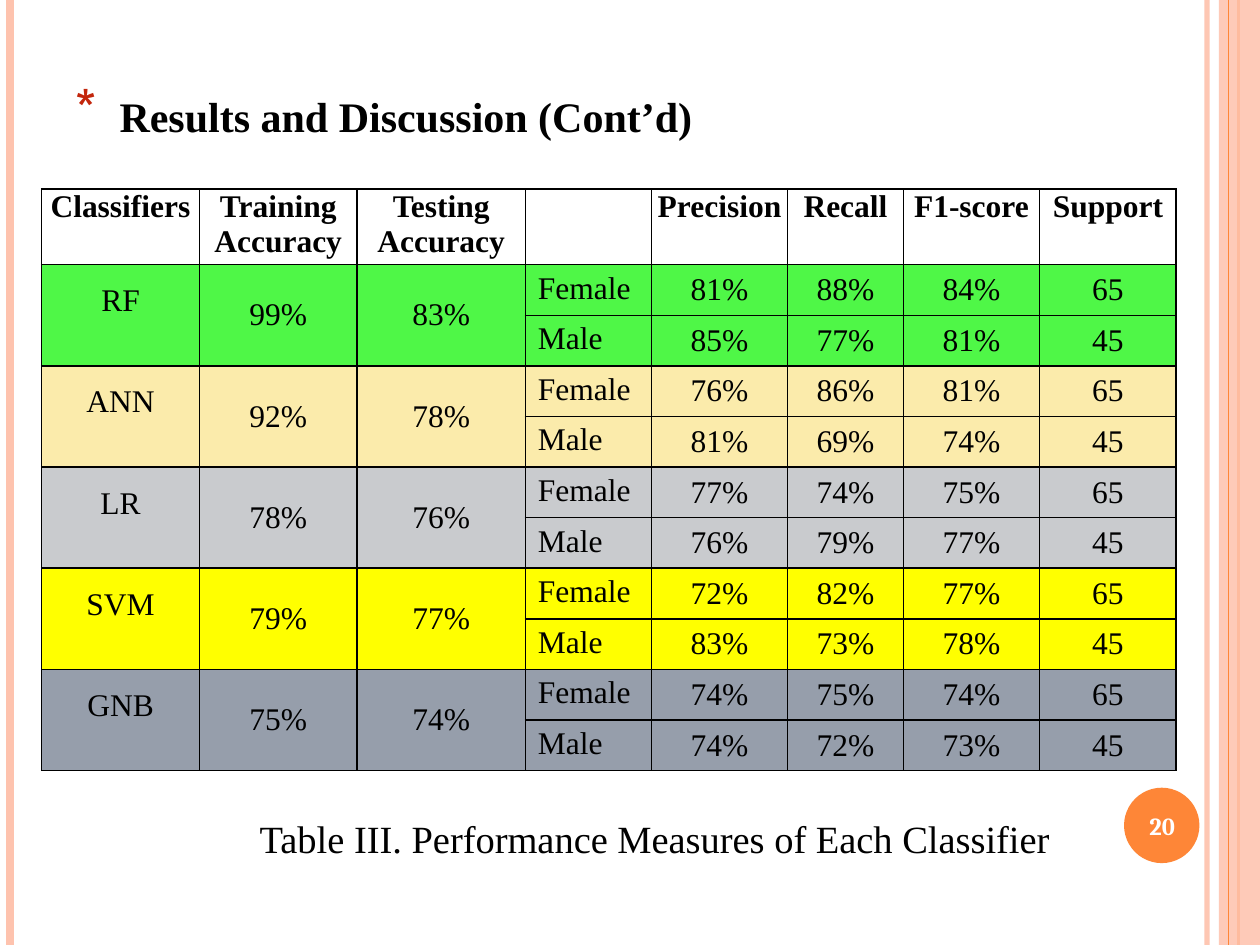
from dataclasses import dataclass

from lxml import etree
from pptx import Presentation
from pptx.dml.color import RGBColor
from pptx.enum.shapes import MSO_CONNECTOR, MSO_SHAPE
from pptx.enum.text import MSO_ANCHOR, PP_ALIGN
from pptx.oxml.ns import qn
from pptx.util import Cm, Pt


@dataclass(frozen=True)
class Theme:
    font: str = "Times New Roman"
    number_font: str = "Cambria"
    ink: str = "000000"
    paper: str = "FFFFFF"
    accent: str = "FE8637"
    pale: str = "FEC3AE"
    bullet: str = "C3260C"
    title_size: int = 24
    caption_size: int = 22
    table_size: int = 18
    number_size: int = 14


def rgb(value):
    return RGBColor.from_string(value)


def set_alpha(fill_parent, percent):
    color = next(fill_parent.iter(qn("a:srgbClr")))
    etree.SubElement(color, qn("a:alpha")).set("val", str(percent * 1000))


class Builder:
    def __init__(self, slide, theme):
        self.slide, self.theme = slide, theme

    def vertical_line(self, x, color, width, alpha=100):
        line = self.slide.shapes.add_connector(
            MSO_CONNECTOR.STRAIGHT, Cm(x), 0, Cm(x), Cm(19.05))
        line.line.color.rgb = rgb(color)
        line.line.width = Pt(width)
        if alpha < 100:
            set_alpha(line._element.spPr, alpha)
        etree.SubElement(line._element.spPr, qn("a:effectLst"))

    def shape(self, kind, box, color, alpha=100):
        shape = self.slide.shapes.add_shape(kind, *map(Cm, box))
        shape.shadow.inherit = False
        shape.fill.solid()
        shape.fill.fore_color.rgb = rgb(color)
        shape.line.fill.background()
        if alpha < 100:
            set_alpha(shape._element.spPr, alpha)

    def fill_text(self, frame, text, size, bold=False, color=None, font=None,
                  align=PP_ALIGN.CENTER):
        for i, part in enumerate(text.split("\n")):
            paragraph = frame.paragraphs[0] if i == 0 else frame.add_paragraph()
            paragraph.alignment = align
            run = paragraph.add_run()
            run.text = part
            run.font.size, run.font.bold = Pt(size), bold
            run.font.name = font or self.theme.font
            run.font.color.rgb = rgb(color or self.theme.ink)

    def text(self, box, text, size, wrap=False, anchor=MSO_ANCHOR.TOP, **style):
        frame = self.slide.shapes.add_textbox(*map(Cm, box)).text_frame
        frame.word_wrap = wrap
        frame.vertical_anchor = anchor
        self.fill_text(frame, text, size, **style)
        return frame.paragraphs[0]

    def bullet(self, paragraph, char, indent, percent):
        props = paragraph._p.get_or_add_pPr()
        props.set("marL", str(Cm(indent)))
        props.set("indent", str(-Cm(indent)))
        color = etree.SubElement(props, qn("a:buClr"))
        etree.SubElement(color, qn("a:srgbClr")).set("val", self.theme.bullet)
        etree.SubElement(props, qn("a:buSzPct")).set("val", str(percent * 1000))
        etree.SubElement(props, qn("a:buChar")).set("char", char)

    def table(self, left, top, widths, heights):
        table = self.slide.shapes.add_table(
            len(heights), len(widths), Cm(left), Cm(top),
            Cm(sum(widths)), Cm(sum(heights))).table
        table.first_row = table.horz_banding = False
        for column, width in zip(table.columns, widths):
            column.width = Cm(width)
        for row, height in zip(table.rows, heights):
            row.height = Cm(height)
        return table

    def cell(self, cell, text, fill, inset=None, anchor=MSO_ANCHOR.MIDDLE, **style):
        # Borders come before the fill in the cell properties
        props = cell._tc.get_or_add_tcPr()
        for side in ("lnL", "lnR", "lnT", "lnB"):
            line = etree.SubElement(props, qn("a:" + side), w=str(Pt(1)))
            solid = etree.SubElement(line, qn("a:solidFill"))
            etree.SubElement(solid, qn("a:srgbClr")).set("val", self.theme.ink)
        cell.fill.solid()
        cell.fill.fore_color.rgb = rgb(fill)
        cell.vertical_anchor = anchor
        if inset is not None:
            cell.margin_left = cell.margin_right = Cm(inset)
            cell.margin_top = cell.margin_bottom = Cm(inset)
        if text:
            self.fill_text(cell.text_frame, text, self.theme.table_size, **style)


theme = Theme()
prs = Presentation()
prs.slide_width, prs.slide_height = Cm(25.4), Cm(19.05)
build = Builder(prs.slides.add_slide(prs.slide_layouts[6]), theme)

# Side stripes
build.vertical_line(24.33, theme.pale, 3, alpha=93)
build.vertical_line(0.2, theme.pale, 4.5)
build.vertical_line(24.97, theme.accent, 1.5)
build.shape(MSO_SHAPE.RECTANGLE, (24.57, 0, 0.83, 19.05), theme.pale, alpha=87)
build.vertical_line(24.77, theme.accent, 0.75)

# Slide number
build.shape(MSO_SHAPE.OVAL, (22.66, 15.88, 1.52, 1.52), theme.accent)
build.text((22.58, 15.93, 1.7, 1.45), "20", theme.number_size, wrap=True,
           anchor=MSO_ANCHOR.MIDDLE, bold=True, color=theme.paper,
           font=theme.number_font)

# Title and caption
title = build.text((1.27, 1.7, 13.08, 1.27), "Results and Discussion (Cont’d)",
                   theme.title_size, bold=True, align=PP_ALIGN.LEFT)
build.bullet(title, "*", 0.89, 128)
build.text((4.88, 16.31, 16.64, 1.19),
           "Table III. Performance Measures of Each Classifier", theme.caption_size)

# Results: name, fill, training, testing, then precision, recall, F1 per gender
headers = ["Classifiers", "Training Accuracy", "Testing\nAccuracy", "",
           "Precision", "Recall", "F1-score", "Support"]
results = [
    ("RF", "4FF747", 99, 83, (81, 88, 84), (85, 77, 81)),
    ("ANN", "FBEBAB", 92, 78, (76, 86, 81), (81, 69, 74)),
    ("LR", "C9CBCE", 78, 76, (77, 74, 75), (76, 79, 77)),
    ("SVM", "FFFF00", 79, 77, (72, 82, 77), (83, 73, 78)),
    ("GNB", "969EAB", 75, 74, (74, 75, 74), (74, 72, 73)),
]
genders = [("Female", 65), ("Male", 45)]

table = build.table(0.84, 3.81, [3.18, 3.18, 3.39, 2.54, 2.75, 2.33, 2.75, 2.75],
                    [1.5] + [1.02] * (2 * len(results)))
for col, header in enumerate(headers):
    build.cell(table.cell(0, col), header, theme.paper, inset=0,
               anchor=MSO_ANCHOR.TOP, bold=True)

for i, (name, fill, training, testing, *scores) in enumerate(results):
    first = 1 + 2 * i
    for col, text in enumerate([name, f"{training}%", f"{testing}%"]):
        top, bottom = table.cell(first, col), table.cell(first + 1, col)
        build.cell(top, text, fill, inset=0.38,
                   anchor=MSO_ANCHOR.MIDDLE if col else MSO_ANCHOR.TOP)
        build.cell(bottom, "", fill)
        top.merge(bottom)
    for row, ((gender, support), values) in enumerate(zip(genders, scores), first):
        build.cell(table.cell(row, 3), gender, fill, anchor=MSO_ANCHOR.TOP,
                   align=PP_ALIGN.LEFT)
        for col, text in enumerate([f"{v}%" for v in values] + [str(support)], 4):
            build.cell(table.cell(row, col), text, fill)

prs.save("out.pptx")
